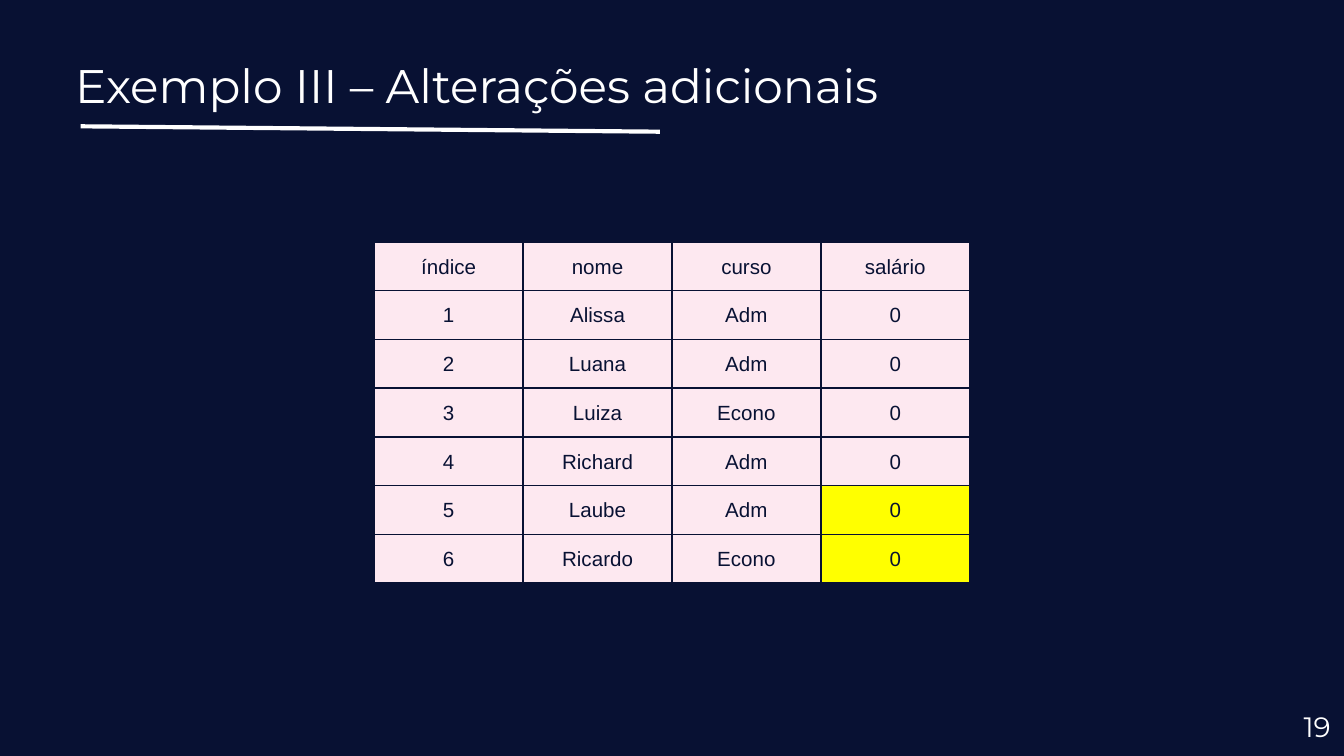
from lxml import etree
from pptx import Presentation
from pptx import util as u
from pptx.dml.color import RGBColor
from pptx.enum import shapes, text
from pptx.oxml.ns import qn

TITLE = "Exemplo III – Alterações adicionais"
PAGE = "19"
HEADER = ("índice", "nome", "curso", "salário")
STUDENTS = [
    ("1", "Alissa", "Adm", "0"),
    ("2", "Luana", "Adm", "0"),
    ("3", "Luiza", "Econo", "0"),
    ("4", "Richard", "Adm", "0"),
    ("5", "Laube", "Adm", "0"),
    ("6", "Ricardo", "Econo", "0"),
]
CHANGED = {(5, 3), (6, 3)}

THEME = {
    "navy": "081133", "white": "FFFFFF", "pink": "FDE8F0", "yellow": "FFFF00",
    "heading": "Montserrat", "body": "Arial",
    "title_size": 25.2, "page_size": 15, "cell_size": 11,
    "rule_width": 2.25, "border_width": 1,
}
SLIDE_WIDTH = u.Inches(10)
SLIDE_HEIGHT = SLIDE_WIDTH * 9 // 16
TABLE_WIDTH, TABLE_HEIGHT = u.Inches(4.43), u.Inches(2.54)
TABLE_LEFT, TABLE_TOP = (SLIDE_WIDTH - TABLE_WIDTH) // 2, u.Inches(1.8)


def color(name):
    return RGBColor.from_string(THEME[name])


def apply(target, formats):
    for attribute, value in formats.items():
        setattr(target, attribute, value)


def place(shape, left, top, width, height):
    apply(shape, {"left": u.Inches(left), "top": u.Inches(top),
                  "width": u.Inches(width), "height": u.Inches(height)})


def margins(left, top, right, bottom):
    return {"margin_left": u.Inches(left), "margin_top": u.Inches(top),
            "margin_right": u.Inches(right), "margin_bottom": u.Inches(bottom)}


def write(frame, words, font, size, ink, align):
    frame.text = words
    paragraph = frame.paragraphs[0]
    paragraph.alignment = align
    apply(paragraph.runs[0].font, {"name": THEME[font], "size": u.Pt(THEME[size])})
    paragraph.runs[0].font.color.rgb = color(ink)


def write_heading(box, words, size, align, anchor):
    apply(box.text_frame, {"word_wrap": True, "auto_size": text.MSO_AUTO_SIZE.NONE,
                           "vertical_anchor": anchor, **margins(0.1, 0.1, 0.1, 0.1)})
    write(box.text_frame, words, "heading", size, "white", align)


def add_borders(cell):
    properties = cell._tc.get_or_add_tcPr()
    for position, side in enumerate(("lnL", "lnR", "lnT", "lnB")):
        border = etree.Element(qn(f"a:{side}"), w=str(u.Pt(THEME["border_width"])))
        fill = etree.SubElement(border, qn("a:solidFill"))
        etree.SubElement(fill, qn("a:srgbClr"), val=THEME["navy"])
        properties.insert(position, border)


def add_student_table(slide):
    rows = [HEADER, *STUDENTS]
    table = slide.shapes.add_table(
        len(rows), len(HEADER), TABLE_LEFT, TABLE_TOP, TABLE_WIDTH, TABLE_HEIGHT).table
    apply(table, {"first_row": False, "horz_banding": False})
    for r, row in enumerate(rows):
        for c, value in enumerate(row):
            cell = table.cell(r, c)
            apply(cell, {"vertical_anchor": text.MSO_ANCHOR.MIDDLE,
                         **margins(0.01, 0.01, 0.01, 0)})
            cell.fill.solid()
            cell.fill.fore_color.rgb = color("yellow" if (r, c) in CHANGED else "pink")
            add_borders(cell)
            write(cell.text_frame, value, "body", "cell_size", "navy", text.PP_ALIGN.CENTER)


def main():
    deck = Presentation()
    apply(deck, {"slide_width": SLIDE_WIDTH, "slide_height": SLIDE_HEIGHT})
    slide = deck.slides.add_slide(deck.slide_layouts[5])
    slide.background.fill.solid()
    slide.background.fill.fore_color.rgb = color("navy")

    underline = slide.shapes.add_connector(
        shapes.MSO_CONNECTOR.STRAIGHT,
        u.Inches(0.6), u.Inches(0.94), u.Inches(4.91), u.Inches(0.98))
    underline.line.color.rgb = color("white")
    underline.line.width = u.Pt(THEME["rule_width"])
    etree.SubElement(underline._element.spPr, qn("a:effectLst"))

    title = slide.shapes.title
    place(title, 0.46, 0.32, 9.32, 0.63)
    write_heading(title, TITLE, "title_size", text.PP_ALIGN.LEFT, text.MSO_ANCHOR.TOP)

    page = slide.shapes.add_textbox(0, 0, 0, 0)
    place(page, 9.4, 5.19, 0.6, 0.43)
    write_heading(page, PAGE, "page_size", text.PP_ALIGN.RIGHT, text.MSO_ANCHOR.MIDDLE)

    add_student_table(slide)
    deck.save("out.pptx")


if __name__ == "__main__":
    main()
